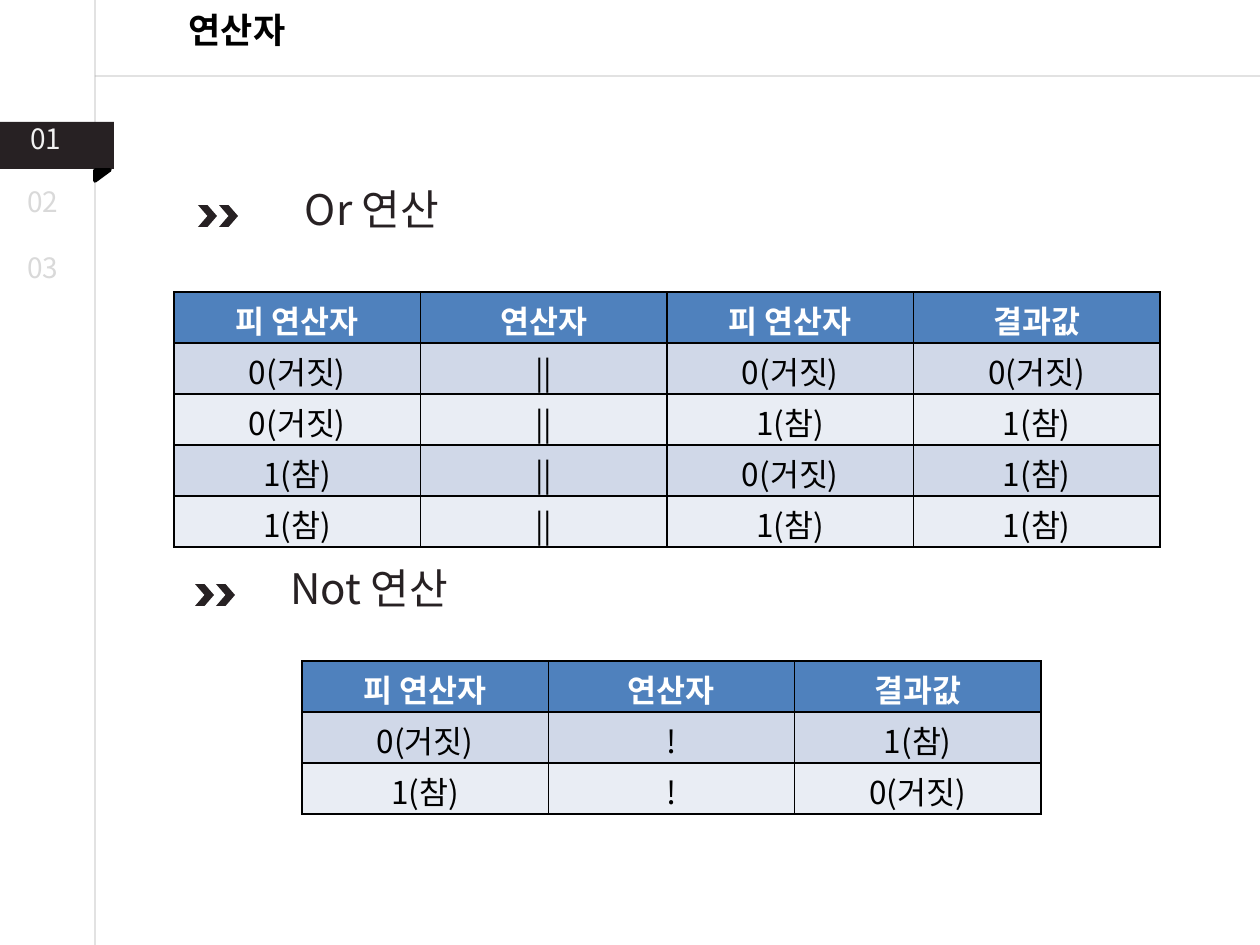
import pptx
import pptx.dml.color
import pptx.enum.shapes
import pptx.enum.text
import pptx.oxml
import pptx.oxml.ns
import pptx.util
import lxml.etree

PX = 914400 / 126
FONT = "Noto Sans CJK KR"
COLORS = {
    "ink": "272123", "black": "000000", "white": "FFFFFF", "rule": "A6A6A6",
    "active": "F2F2F2", "muted": "D9D9D9",
    "header": "4F81BD", "odd": "D0D8E8", "even": "E9EDF4",
}
SHAPES = pptx.enum.shapes.MSO_SHAPE
LEFT = pptx.enum.text.PP_ALIGN.LEFT
CENTER = pptx.enum.text.PP_ALIGN.CENTER
TOP = pptx.enum.text.MSO_ANCHOR.TOP
qn = pptx.oxml.ns.qn


def px(*lengths):
    return [round(length * PX) for length in lengths]


def write(frame, text, size, color, bold=False, align=CENTER):
    para = frame.paragraphs[0]
    para.alignment = align
    span = para.add_run()
    span.text = text
    span.font.size = pptx.util.Pt(size)
    span.font.bold = bold
    span.font.name = FONT
    span.font.color.rgb = pptx.dml.color.RGBColor.from_string(COLORS[color])
    east_asian = lxml.etree.SubElement(span.font._element, qn("a:ea"))
    east_asian.set("typeface", FONT)


deck = pptx.Presentation()
deck.slide_width, deck.slide_height = px(1260, 945)
page = deck.slides.add_slide(deck.slide_layouts[5])

title = page.shapes.title
title.left, title.top, title.width, title.height = px(102, 8, 270, 55)
title.text_frame.auto_size = pptx.enum.text.MSO_AUTO_SIZE.NONE
title.text_frame.vertical_anchor = TOP
title.text_frame.margin_top = title.text_frame.margin_bottom = 0
write(title.text_frame, "연산자", 20, "black", bold=True)

for ends in [(95, -52, 95, 979), (1376, 76, 95, 76)]:
    rule = page.shapes.add_connector(pptx.enum.shapes.MSO_CONNECTOR.STRAIGHT, *px(*ends))
    rule.line.width = pptx.util.Pt(0.75)
    rule.line.color.rgb = pptx.dml.color.RGBColor.from_string(COLORS["rule"])
    tone = rule._element.spPr.find(".//" + qn("a:srgbClr"))
    lxml.etree.SubElement(tone, qn("a:alpha")).set("val", "50000")
    lxml.etree.SubElement(rule._element.spPr, qn("a:effectLst"))

for kind, bounds, color, turn in [
    (SHAPES.RECTANGLE, (-1, 122, 115, 47), "ink", 0),
    (SHAPES.RIGHT_TRIANGLE, (97, 168, 11, 15), "black", 90),
    (SHAPES.CHEVRON, (219, 205, 19, 22), "ink", 0),
    (SHAPES.CHEVRON, (198, 205, 19, 22), "ink", 0),
    (SHAPES.CHEVRON, (216, 584, 19, 22), "ink", 0),
    (SHAPES.CHEVRON, (195, 584, 19, 22), "ink", 0),
]:
    shape = page.shapes.add_shape(kind, *px(*bounds))
    shape.shadow.inherit = False
    shape.rotation = turn
    shape.fill.solid()
    shape.fill.fore_color.rgb = pptx.dml.color.RGBColor.from_string(COLORS[color])
    if kind == SHAPES.RIGHT_TRIANGLE:
        shape.line.width = pptx.util.Pt(2)
        shape.line.color.rgb = pptx.dml.color.RGBColor.from_string(COLORS[color])
    else:
        shape.line.fill.background()

for text, bounds, size, color, align in [
    ("01", (18, 122, 74, 47), 16, "active", LEFT),
    ("02", (15, 185, 62, 47), 16, "muted", LEFT),
    ("03", (15, 251, 62, 47), 16, "muted", LEFT),
    ("Or 연산", (174, 184, 396, 63), 24, "ink", CENTER),
    ("Not 연산", (171, 563, 396, 63), 24, "ink", CENTER),
]:
    box = page.shapes.add_textbox(*px(*bounds))
    box.text_frame.word_wrap = True
    box.text_frame.margin_top = box.text_frame.margin_bottom = 0
    write(box.text_frame, text, size, color, align=align)

FALSE, TRUE = "0(거짓)", "1(참)"
or_rows = [
    ["피 연산자", "연산자", "피 연산자", "결과값"],
    [FALSE, "||", FALSE, FALSE],
    [FALSE, "||", TRUE, TRUE],
    [TRUE, "||", FALSE, TRUE],
    [TRUE, "||", TRUE, TRUE],
]
not_rows = [
    ["피 연산자", "연산자", "결과값"],
    [FALSE, "!", TRUE],
    [TRUE, "!", FALSE],
]
for rows, left, top, width in [(or_rows, 174, 292, 986), (not_rows, 302, 661, 739)]:
    frame = page.shapes.add_table(
        len(rows), len(rows[0]), *px(left, top, width, 51 * len(rows)))
    table = frame.table
    table.horz_banding = False
    for r, texts in enumerate(rows):
        table.rows[r].height = px(51)[0]
        fill = "header" if r == 0 else "odd" if r % 2 else "even"
        for c, text in enumerate(texts):
            cell = table.cell(r, c)
            cell.margin_top, cell.margin_bottom = px(5, 0)
            cell.vertical_anchor = TOP
            properties = cell._tc.get_or_add_tcPr()
            for side in ("lnL", "lnR", "lnT", "lnB"):
                border = lxml.etree.SubElement(properties, qn("a:" + side), w="12700")
                paint = lxml.etree.SubElement(border, qn("a:solidFill"))
                lxml.etree.SubElement(paint, qn("a:srgbClr"), val=COLORS["black"])
            cell.fill.solid()
            cell.fill.fore_color.rgb = pptx.dml.color.RGBColor.from_string(COLORS[fill])
            write(cell.text_frame, text, 18, "black" if r else "white", bold=r == 0)

deck.save("out.pptx")
